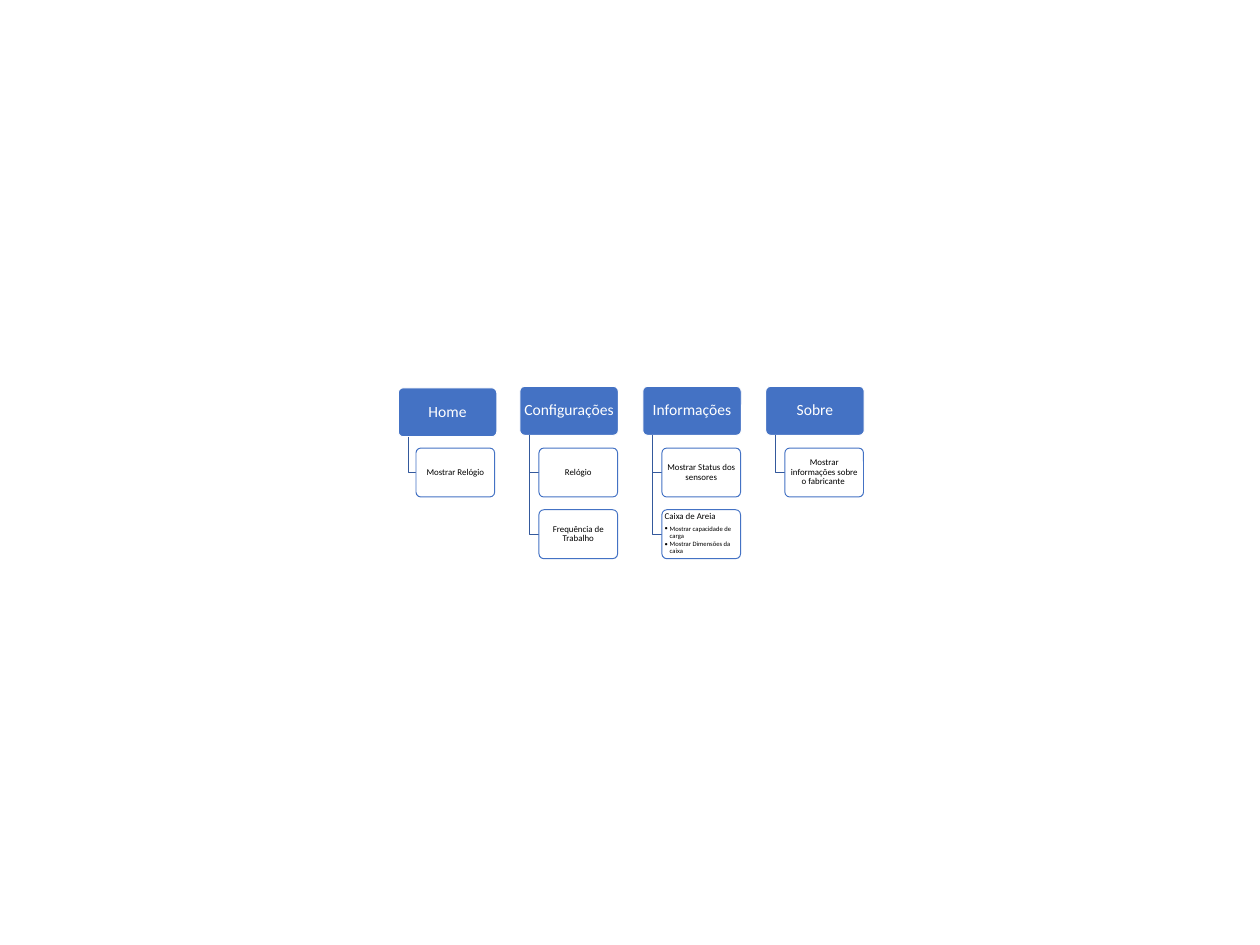
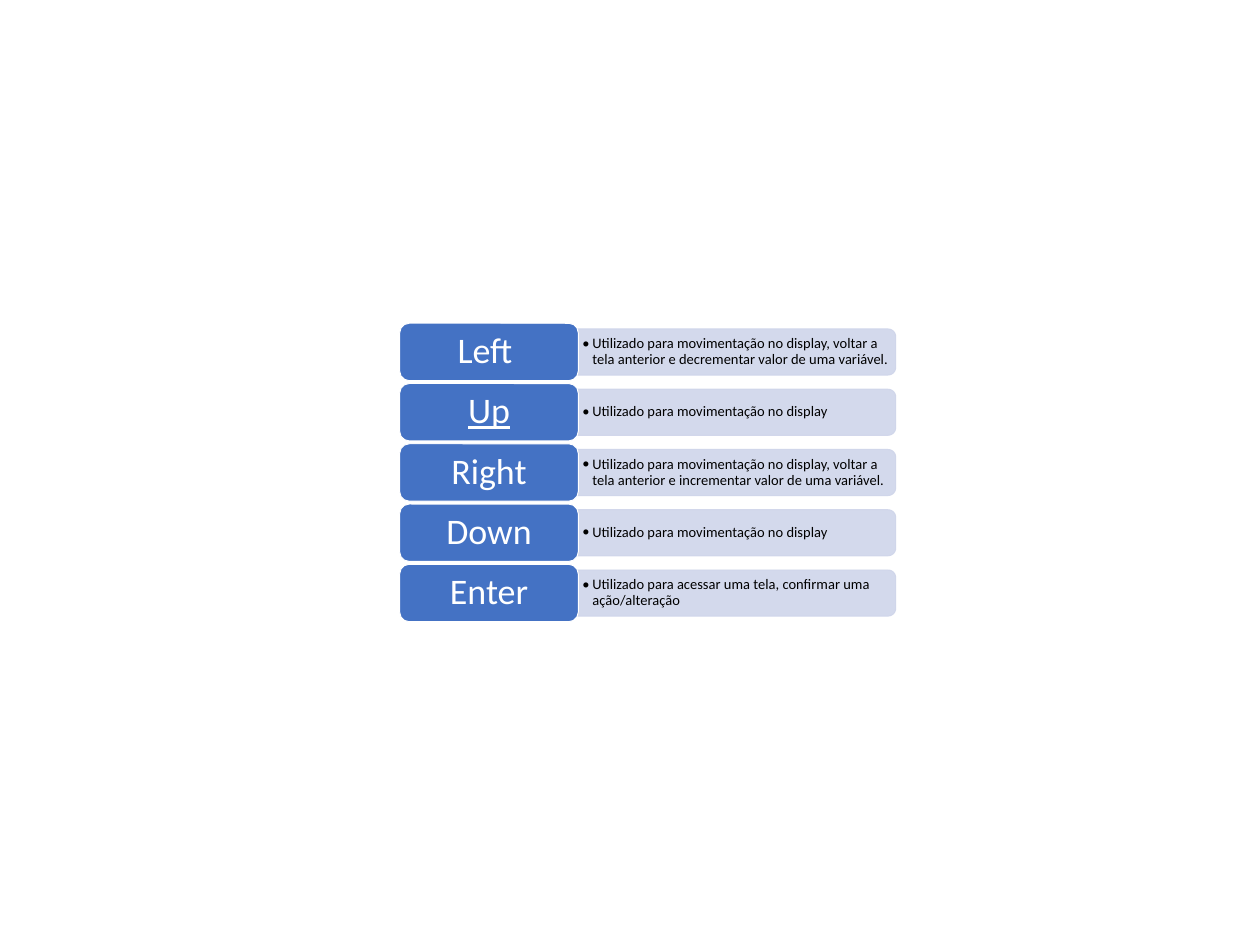
from math import cos, radians, sin

from lxml.etree import SubElement
from pptx import Presentation
from pptx.dml.color import RGBColor
from pptx.enum.shapes import MSO_SHAPE as Preset
from pptx.enum.text import MSO_ANCHOR as Anchor, PP_ALIGN as Align
from pptx.oxml.ns import qn
from pptx.util import Inches, Pt

FONT = "Calibri"
COLORS = {"blue": "4472C4", "branch": "34599C", "pale": "CFD5EA",
          "white": "FFFFFF", "black": "000000"}


def paint(shape, fill, line, fill_opacity=100, line_opacity=100):
    """Set fill, outline and opacity; a fill of None leaves the shape empty."""
    shape.shadow.inherit = False
    shape.line.width = Pt(1)
    shape.line.fill.solid()
    parts = [(shape.line.fill, line, line_opacity)]
    if fill is None:
        shape.fill.background()
    else:
        shape.fill.solid()
        parts.append((shape.fill, fill, fill_opacity))
    for part, color, opacity in parts:
        part.fore_color.rgb = RGBColor.from_string(COLORS[color])
        if opacity < 100:
            holder = shape._element.spPr if part is shape.fill else shape.line._ln
            tint = holder.find(qn("a:solidFill"))[0]
            SubElement(tint, qn("a:alpha"), val=str(opacity * 1000))


def write(box, text, size, color="black", align=Align.CENTER, anchor=Anchor.MIDDLE,
          insets=(0.02, 0.01, 0.02, 0.01), after=0, underline=None, bullet=None):
    """Add one paragraph; bullet is the hanging indent in inches."""
    frame = box.text_frame
    frame.word_wrap = True
    frame.vertical_anchor = anchor
    frame.margin_left, frame.margin_top, frame.margin_right, frame.margin_bottom = map(Inches, insets)
    para = frame.add_paragraph() if frame.text else frame.paragraphs[0]
    if bullet:
        para.level = 1
        props = para._p.get_or_add_pPr()
        props.set("marL", str(Inches(bullet)))
        props.set("indent", str(-Inches(bullet)))
        SubElement(SubElement(props, qn("a:buClr")), qn("a:srgbClr"), val=COLORS["black"])
        SubElement(props, qn("a:buFont"), typeface=FONT)
        SubElement(props, qn("a:buChar"), char="•")
    para.alignment = align
    para.line_spacing = 0.9
    para.space_after = Pt(after)
    span = para.add_run()
    span.text = text
    span.font.name = FONT
    span.font.size = Pt(size)
    span.font.underline = underline
    span.font.color.rgb = RGBColor.from_string(COLORS[color])


deck = Presentation()
deck.slide_width, deck.slide_height = Inches(17.78), Inches(13.33)
blank = deck.slide_layouts[6]

# Slide 1: menu tree, one column per menu
menus = [
    ("Home", ["Mostrar Relógio"]),
    ("Configurações", ["Relógio", "Frequência de Trabalho"]),
    ("Informações", ["Mostrar Status dos sensores", "Caixa de Areia"]),
    ("Sobre", ["Mostrar informações sobre o fabricante "]),
]
details = {"Caixa de Areia": ["Mostrar capacidade de carga", "Mostrar Dimensões da caixa"]}
TREE_LEFT, TREE_TOP = 5.6, 5.45
COLUMN, ROW = 1.735, 0.87
HEAD_WIDTH, ITEM_WIDTH, BOX_HEIGHT = 1.39, 1.11, 0.69
ITEM_SHIFT, TRUNK_SHIFT = 0.27, 0.14

page = deck.slides.add_slide(blank)
for column, (menu, items) in enumerate(menus):
    left = TREE_LEFT + column * COLUMN
    nudge = 0.02 if menu == "Home" else 0
    head_left, head_top = left + nudge, TREE_TOP + nudge
    head = page.shapes.add_shape(Preset.ROUNDED_RECTANGLE, Inches(head_left), Inches(head_top),
                                 Inches(HEAD_WIDTH), Inches(BOX_HEIGHT))
    head.adjustments[0] = 0.1
    paint(head, "blue", "white")
    write(head, menu, 15.8, color="white", after=6.8, insets=(0.03, 0.02, 0.03, 0.02))

    for row, item in enumerate(items, start=1):
        item_left, item_top = left + ITEM_SHIFT, TREE_TOP + row * ROW
        trunk = Inches(head_left + TRUNK_SHIFT)
        middle = Inches(item_top + BOX_HEIGHT / 2)
        elbow = page.shapes.build_freeform(trunk, Inches(head_top + BOX_HEIGHT))
        elbow.add_line_segments([(trunk, middle), (Inches(item_left), middle)], close=False)
        paint(elbow.convert_to_shape(), None, "branch")

        box = page.shapes.add_shape(Preset.ROUNDED_RECTANGLE, Inches(item_left), Inches(item_top),
                                    Inches(ITEM_WIDTH), Inches(BOX_HEIGHT))
        box.adjustments[0] = 0.1
        paint(box, "white", "blue", fill_opacity=90)
        notes = details.get(item, [])
        layout = {"align": Align.LEFT, "anchor": Anchor.TOP} if notes else {}
        write(box, item, 9, after=3.9, **layout)
        for note in notes:
            write(box, note, 6.7, after=1.2, bullet=0.07, **layout)

# Slide 2: keys, one row per key
keys = [
    ("Left ", "Utilizado para movimentação no display, voltar a tela anterior e "
              "decrementar valor de uma variável."),
    ("Up", "Utilizado para movimentação no display"),
    ("Right", "Utilizado para movimentação no display, voltar a tela anterior e "
              "incrementar valor de uma variável."),
    ("Down", "Utilizado para movimentação no display"),
    ("Enter", "Utilizado para acessar uma tela, confirmar uma ação/alteração"),
]
KEY_LEFT, KEY_TOP, KEY_WIDTH, KEY_HEIGHT, KEY_ROW = 5.64, 4.56, 2.52, 0.81, 0.85
BAR_WIDTH, BAR_HEIGHT, RADIUS = 4.48, 0.65, 0.11
bar_left = KEY_LEFT + KEY_WIDTH
bar_right = bar_left + BAR_WIDTH

page = deck.slides.add_slide(blank)
for row, (key, purpose) in enumerate(keys):
    top = KEY_TOP + row * KEY_ROW
    bar_top = top + (KEY_HEIGHT - BAR_HEIGHT) / 2
    bar_bottom = bar_top + BAR_HEIGHT

    # Bar with square left corners and round right corners
    corners = [(bar_top + RADIUS, -90), (bar_bottom - RADIUS, 0)]
    outline = [(Inches(bar_right - RADIUS + RADIUS * cos(radians(angle))),
                Inches(center + RADIUS * sin(radians(angle))))
               for center, start in corners for angle in range(start, start + 91, 10)]
    outline.append((Inches(bar_left), Inches(bar_bottom)))
    builder = page.shapes.build_freeform(Inches(bar_left), Inches(bar_top))
    builder.add_line_segments(outline)
    bar = builder.convert_to_shape()
    paint(bar, "pale", "pale", fill_opacity=90, line_opacity=90)
    write(bar, purpose, 14.7, align=Align.LEFT, after=2.8, bullet=0.14,
          insets=(0.06, 0.06, 0.09, 0.06))

    label = page.shapes.add_shape(Preset.ROUNDED_RECTANGLE, Inches(KEY_LEFT), Inches(top),
                                  Inches(KEY_WIDTH), Inches(KEY_HEIGHT))
    paint(label, "blue", "white")
    write(label, key, 36.5, color="white", after=15.2, underline=key == "Up",
          insets=(0.15, 0.08, 0.15, 0.08))

deck.save("out.pptx")
